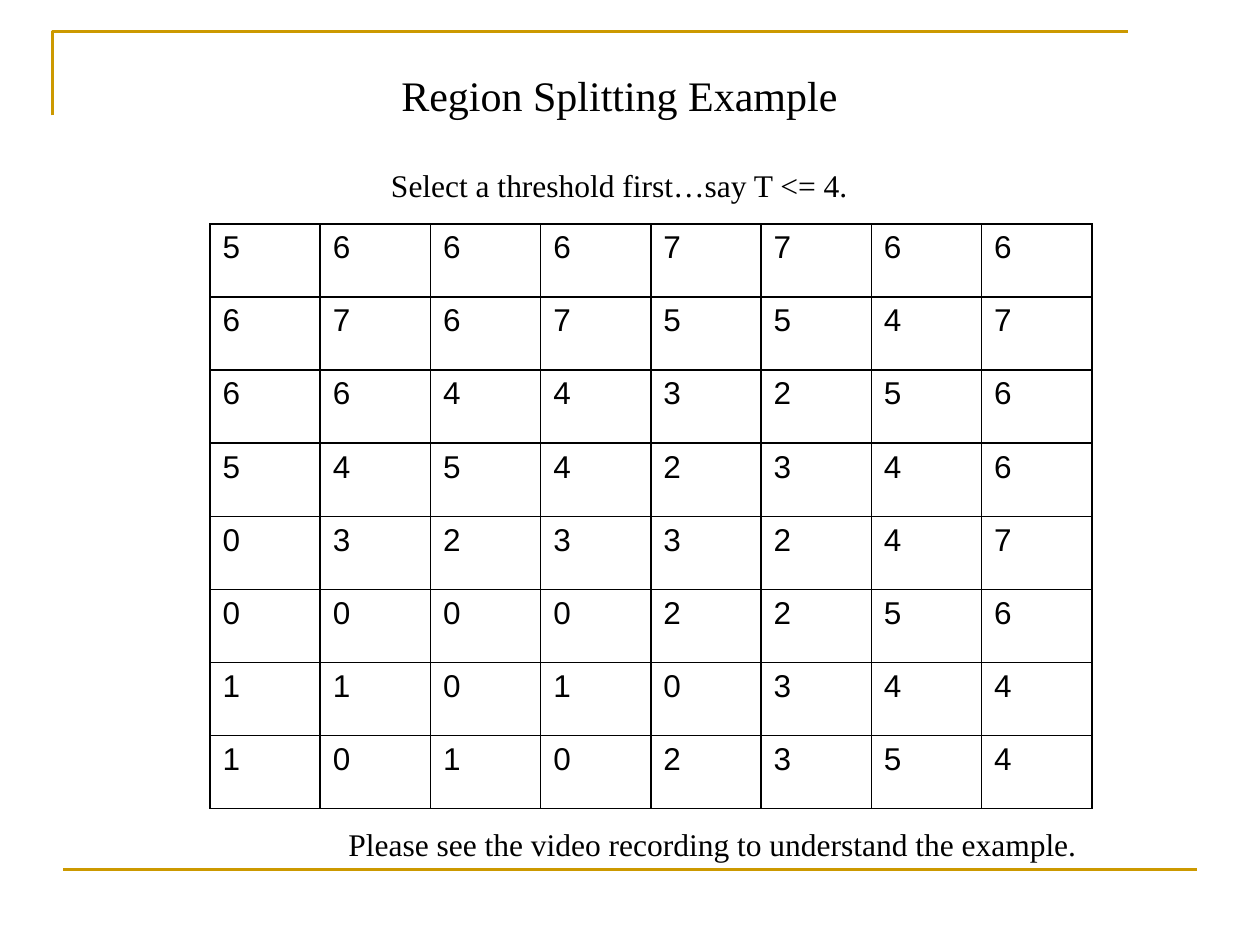
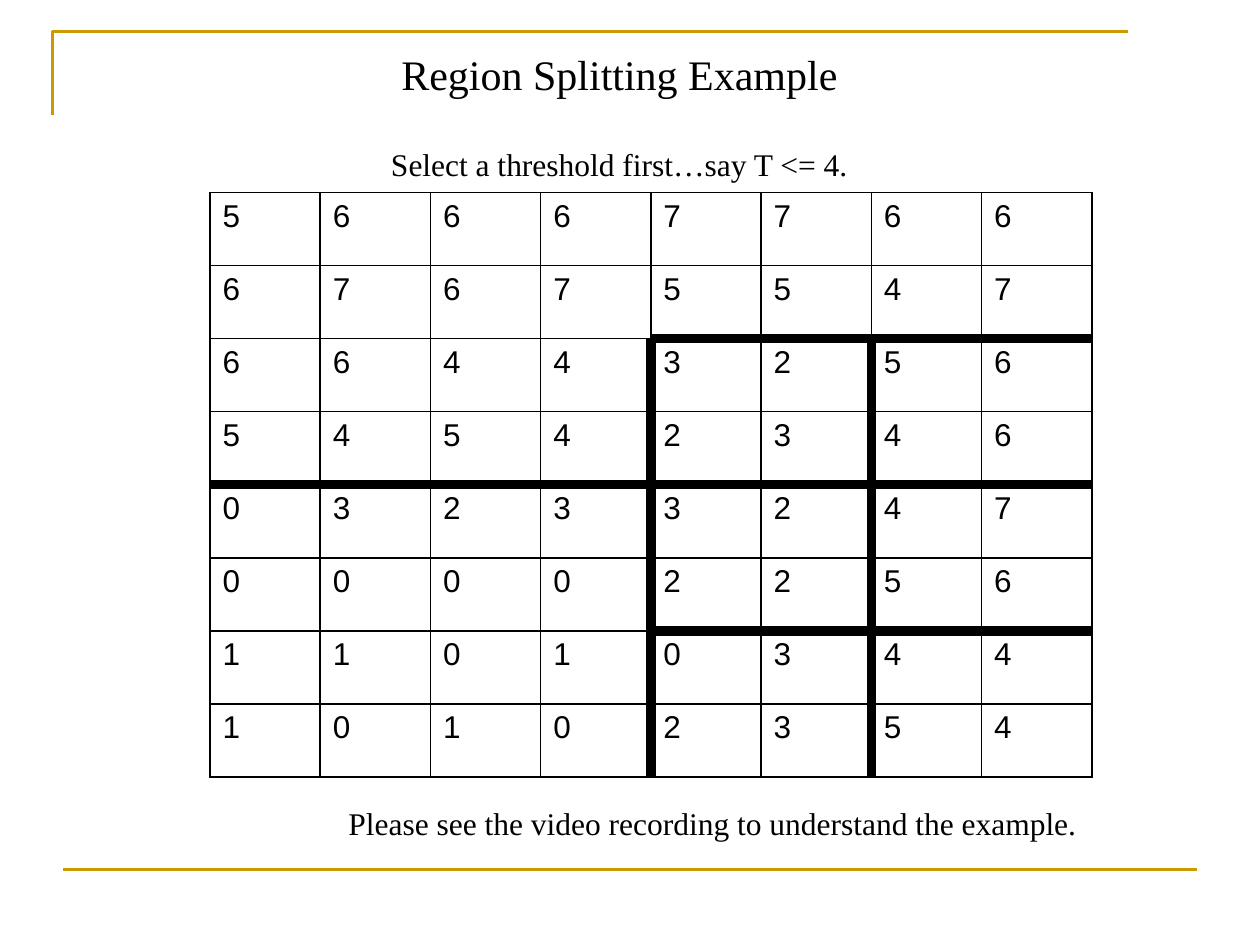
import lxml.etree
import pptx
import pptx.dml.color
import pptx.enum.shapes
import pptx.enum.text
import pptx.oxml.ns
import pptx.util

# The slide is a grid of 120 columns and 90 rows
WIDE, HIGH = pptx.util.Inches(10), pptx.util.Inches(7.5)
COLS, ROWS = 120, 90
INK, GOLD = "000000", "CC9900"
SERIF, SANS = "Times New Roman", "Arial"
LEFT = pptx.enum.text.PP_ALIGN.LEFT
MID = pptx.enum.text.PP_ALIGN.CENTER

PIXELS = ["56667766", "67675547", "66443256", "54542346",
          "03233247", "00002256", "11010344", "10102354"]
THIN, THICK = 1, 6
# Thick walls: (column edge, row) pairs and (row edge, column) pairs
UPRIGHT = {(edge, row) for edge in (4, 6) for row in range(2, 8)}
LEVEL = {(edge, col) for edge in (2, 6) for col in range(4, 8)}
LEVEL |= {(4, col) for col in range(8)}


def tone(code):
    return pptx.dml.color.RGBColor.from_string(code)


def across(cols):
    return round(WIDE * cols / COLS)


def down(rows):
    return round(HIGH * rows / ROWS)


def grid(left, top, wide, high):
    return across(left), down(top), across(wide), down(high)


def write(frame, text, size=18, font=SERIF, color=INK, align=LEFT):
    frame.word_wrap = True
    frame.auto_size = pptx.enum.text.MSO_AUTO_SIZE.NONE
    frame.vertical_anchor = pptx.enum.text.MSO_ANCHOR.TOP
    style(frame, text, size, font, color, align)


def style(frame, text, size=18, font=SERIF, color=INK, align=LEFT):
    frame.text = text
    para = frame.paragraphs[0]
    para.alignment = align
    face = para.runs[0].font
    face.size, face.name = pptx.util.Pt(size), font
    face.color.rgb = tone(color)


def stroke(shape):
    shape.line.color.rgb = tone(GOLD)
    shape.line.width = pptx.util.Pt(1.5)


def add_frame(slide):
    # Corner bracket at the top
    pen = slide.shapes.build_freeform(across(5), down(11))
    pen.add_line_segments([(across(5), down(3)), (across(107.4), down(3))], close=False)
    corner = pen.convert_to_shape()
    corner.fill.background()
    corner.shadow.inherit = False
    stroke(corner)
    # Rule at the foot
    rule = slide.shapes.add_connector(
        pptx.enum.shapes.MSO_CONNECTOR.STRAIGHT,
        across(6), down(82.8), across(114), down(82.8))
    stroke(rule)
    lxml.etree.SubElement(rule._element.spPr, pptx.oxml.ns.qn("a:effectLst"))


def add_head(slide, left, top, wide):
    # Title, with the threshold line below it
    title = slide.shapes.title
    title.left, title.top, title.width, title.height = grid(left, top, wide, 5.6)
    write(title.text_frame, "Region Splitting Example", size=24, align=MID)
    step = slide.shapes.add_textbox(*grid(left, top + 9.2, wide, 4.8))
    write(step.text_frame, "Select a threshold first…say T <= 4.", align=MID)


def edge(cell, side, width):
    qn = pptx.oxml.ns.qn
    line = lxml.etree.SubElement(cell._tc.get_or_add_tcPr(), qn("a:ln" + side),
                                 w=str(pptx.util.Pt(width)))
    fill = lxml.etree.SubElement(line, qn("a:solidFill"))
    lxml.etree.SubElement(fill, qn("a:srgbClr"), val=INK)


def add_pixels(slide, left, top, wide, high, upright, level):
    count = len(PIXELS)
    table = slide.shapes.add_table(count, count, *grid(left, top, wide, high)).table
    table.first_row = table.horz_banding = False
    for row, line in enumerate(PIXELS):
        for col, value in enumerate(line):
            cell = table.cell(row, col)
            style(cell.text_frame, value, font=SANS)
            thick = {"L": (col, row) in upright, "R": (col + 1, row) in upright,
                     "T": (row, col) in level, "B": (row + 1, col) in level}
            for side, bold in thick.items():
                edge(cell, side, THICK if bold else THIN)
            cell.fill.background()


def add_note(slide, left, top, wide):
    note = slide.shapes.add_textbox(*grid(left, top, wide, 4.8))
    write(note.text_frame, "Please see the video recording to understand the example.")


def add_slide(deck, head, body, foot, upright=(), level=()):
    slide = deck.slides.add_slide(deck.slide_layouts[5])
    add_frame(slide)
    add_pixels(slide, 20, body, 84, 55.68, upright, level)
    add_head(slide, 11, head, 96)
    add_note(slide, 32, foot, 82)


def main():
    deck = pptx.Presentation()
    deck.slide_width, deck.slide_height = WIDE, HIGH
    # Plain grid, then the grid split into regions
    add_slide(deck, head=6, body=21.33, foot=78)
    add_slide(deck, head=4, body=18.33, foot=76, upright=UPRIGHT, level=LEVEL)
    deck.save("out.pptx")


if __name__ == "__main__":
    main()
